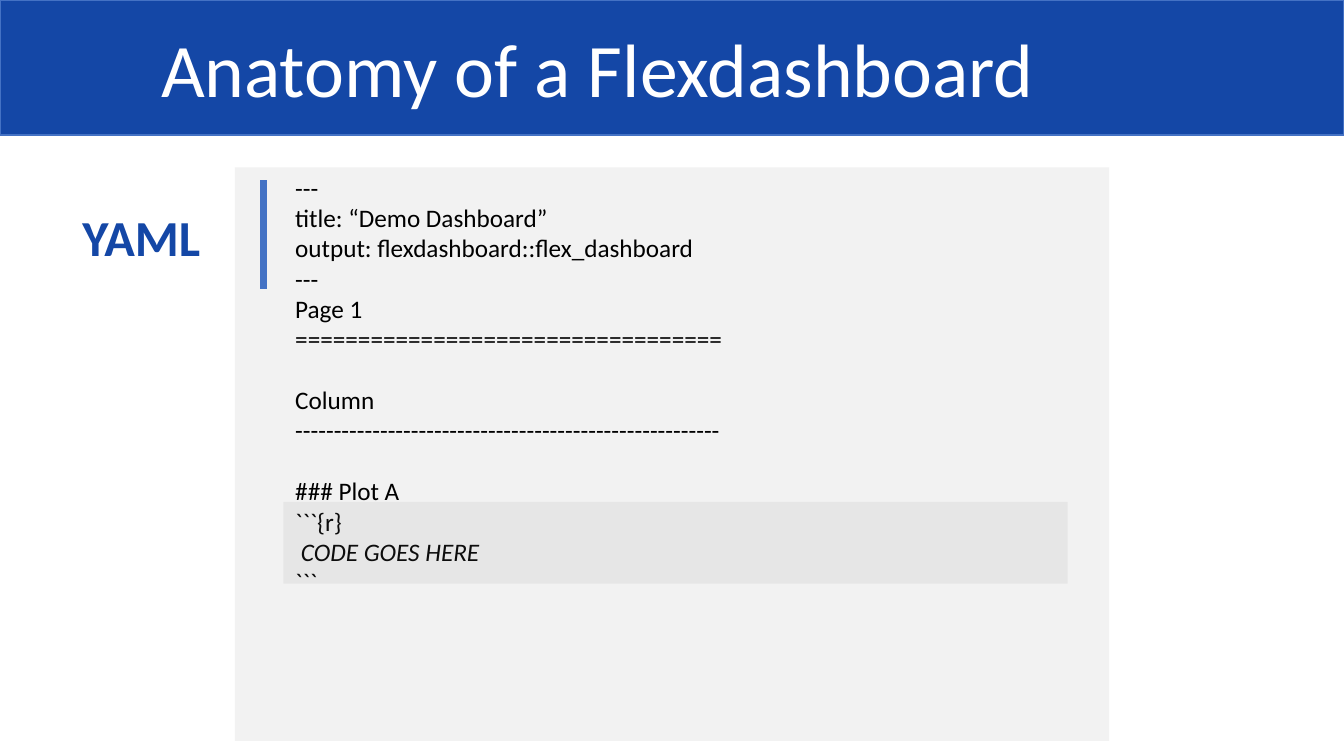
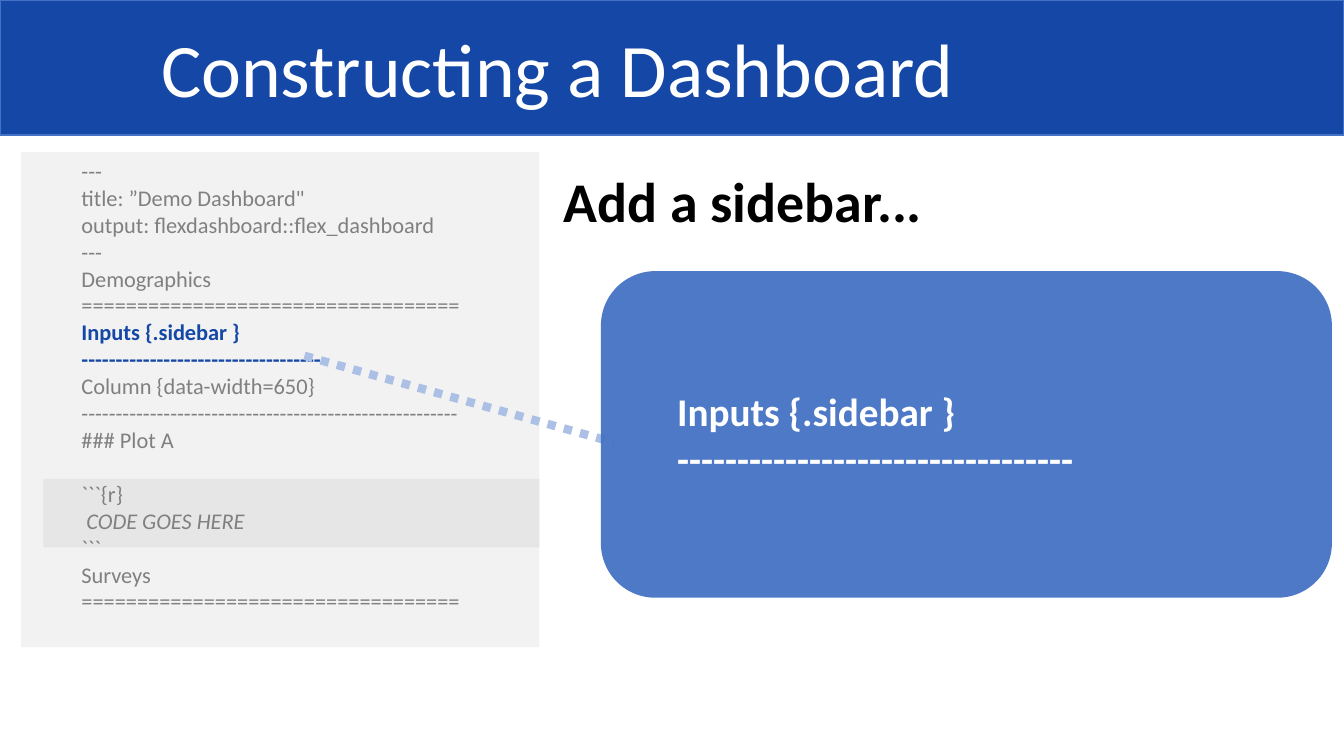
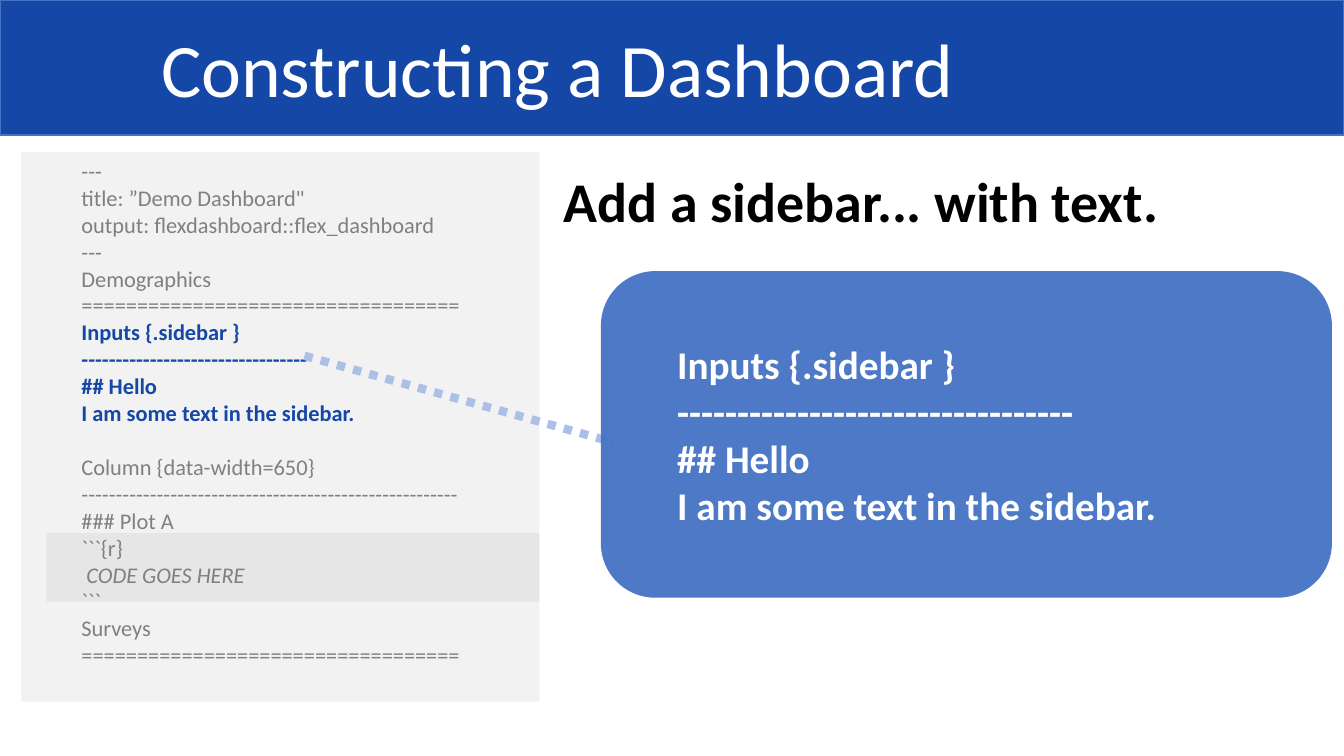
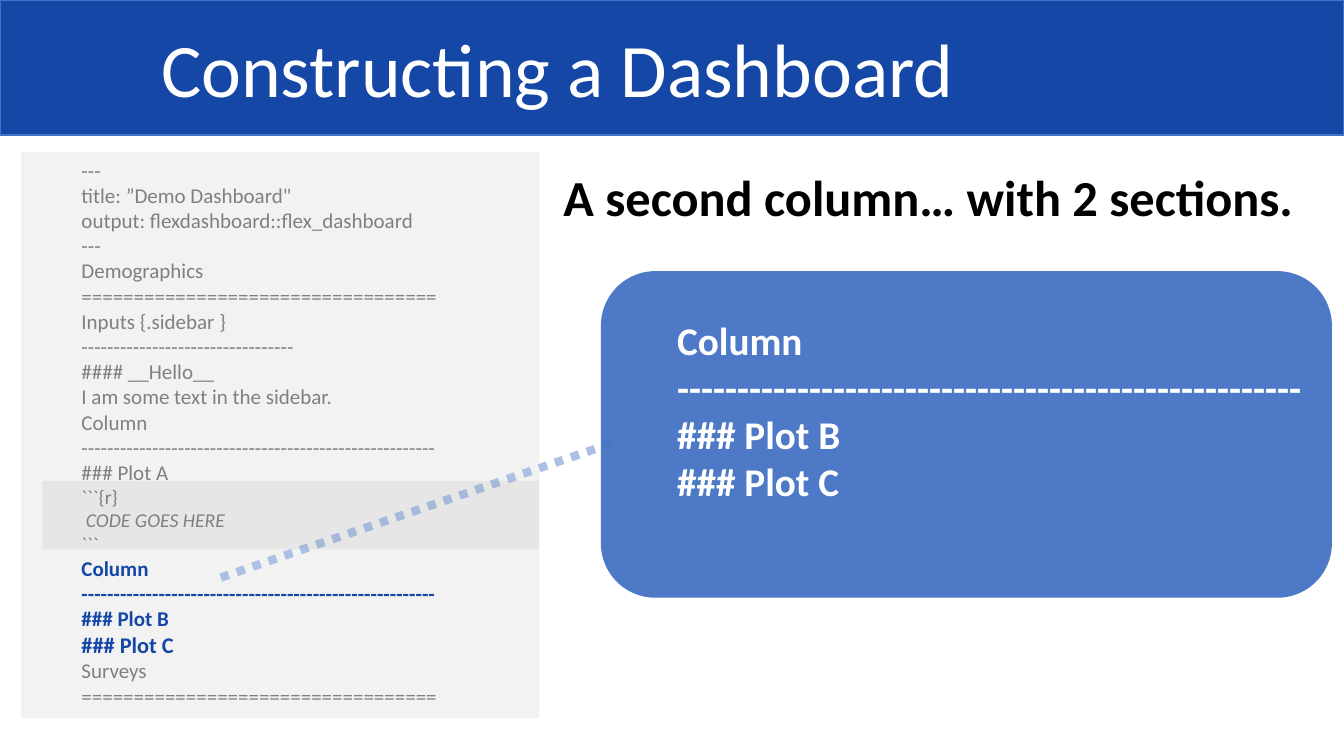
from lxml import etree
from pptx import Presentation
from pptx.dml.color import RGBColor
from pptx.enum.dml import MSO_LINE
from pptx.enum.shapes import MSO_CONNECTOR, MSO_SHAPE
from pptx.enum.text import MSO_ANCHOR, PP_ALIGN
from pptx.oxml.ns import qn
from pptx.util import Pt

RECT, ROUND = MSO_SHAPE.RECTANGLE, MSO_SHAPE.ROUNDED_RECTANGLE
TOP, MID = MSO_ANCHOR.TOP, MSO_ANCHOR.MIDDLE
LEFT = PP_ALIGN.LEFT
STRAIGHT = MSO_CONNECTOR.STRAIGHT
DOTS = MSO_LINE.ROUND_DOT

FONT = "Calibri"
NAVY, BLUE, PALE = "1447A6", "4472C4", "ABC0E4"
BLACK, GRAY, LIGHT, WHITE = "000000", "808080", "F2F2F2", "FFFFFF"
WIDE, HIGH, BAND = 1333, 750, 134
LEADING = 1.22
CODE = "CODE GOES HERE"

HEAD = """---
title: ”Demo Dashboard"
output: flexdashboard::flex_dashboard
---
Demographics
=================================="""
CHUNK = """```{r}
 CODE GOES HERE
```"""
TAIL = """Surveys
=================================="""
RULE = "-------------------------------------------------------"
SIDE = """Inputs {.sidebar }
---------------------------------"""
HELLO = SIDE + """
## Hello
I am some text in the sidebar."""
PLOTS = "### Plot B\n### Plot C"

INTRO = f"""---
title: “Demo Dashboard”
output: flexdashboard::flex_dashboard
---
Page 1
==================================

Column
{RULE}

### Plot A
{CHUNK}"""

STEPS = [
    dict(
        head="Add a sidebar...", size=40,
        code=f"""{HEAD}
Inputs {{.sidebar }}
-----------------------------------
Column {{data-width=650}}
{RULE}
### Plot A

{CHUNK}
{TAIL}""",
        tall=491, font=16, hot=range(6, 8), shade=(43, 475, 492, 68),
        start=(302, 353), note=SIDE),
    dict(
        head="Add a sidebar... with text.", size=40,
        code=f"""{HEAD}
{HELLO}

Column {{data-width=650}}
{RULE}
### Plot A
{CHUNK}
{TAIL}""",
        tall=545, font=16, hot=range(6, 10), shade=(46, 529, 489, 68),
        start=(302, 353), note=HELLO),
    dict(
        head="A second column… with 2 sections.", size=36,
        code=f"""{HEAD}
{SIDE}
#### __Hello__
I am some text in the sidebar.
Column
{RULE}
### Plot A
{CHUNK}
Column
{RULE}
{PLOTS}
{TAIL}""",
        tall=562, font=15, hot=range(16, 20), shade=(42, 477, 493, 68),
        start=(219, 573),
        note=f"Column\n----------------------------------------------------\n{PLOTS}",
        sizes={13: 14, 14: 14, 15: 14, 19: 16}, lift=47),
]


def px(num):
    """Turn px into EMU."""
    return num * 9144


def rgb(tone):
    """Turn a hex string into a colour."""
    return RGBColor.from_string(tone)


def block(slide, kind, box, tone, alpha=100, edge=None):
    """Draw a filled shape, clear to a degree if alpha is under 100."""
    shape = slide.shapes.add_shape(kind, *map(px, box))
    shape.shadow.inherit = False
    shape.fill.solid()
    shape.fill.fore_color.rgb = rgb(tone)
    if alpha < 100:
        node = shape.fill._xPr.find(qn("a:solidFill"))[0]
        etree.SubElement(node, qn("a:alpha")).set("val", str(alpha * 1000))
    if edge:
        shape.line.color.rgb = rgb(edge)
        shape.line.width = Pt(1)
    else:
        shape.line.fill.background()
    return shape


def write(shape, text, size, tone, bold=False, indent=0, anchor=TOP,
          hot=(), sizes=None):
    """Fill a shape with lines; an empty line becomes space before the next."""
    frame = shape.text_frame
    frame.word_wrap = True
    frame.vertical_anchor = anchor
    gap, first = 0, True
    for row, line in enumerate(text.split("\n")):
        if not line:
            gap += size * LEADING
            continue
        para = frame.paragraphs[0] if first else frame.add_paragraph()
        first = False
        para.text = line
        para.alignment = LEFT
        para._p.get_or_add_pPr().set("marL", str(px(indent)))
        if gap:
            para.space_before = Pt(round(gap, 2))
            gap = 0
        font = para.runs[0].font
        font.name = FONT
        font.size = Pt((sizes or {}).get(row, size))
        font.bold = bold or row in hot
        font.italic = line.strip() == CODE
        font.color.rgb = rgb(NAVY if row in hot else tone)


def label(slide, box, text, size, tone):
    """Add a bold text box."""
    write(slide.shapes.add_textbox(*map(px, box)), text, size, tone, bold=True)


def link(slide, start, end, tone, width, dash=None):
    """Draw a straight line."""
    line = slide.shapes.add_connector(STRAIGHT, *map(px, start + end))
    line.line.color.rgb = rgb(tone)
    line.line.width = Pt(width)
    if dash:
        line.line.dash_style = dash
    etree.SubElement(line._element.spPr, qn("a:effectLst"))


def page(deck, title):
    """Add a blank slide with the title band."""
    slide = deck.slides.add_slide(deck.slide_layouts[6])
    band = block(slide, RECT, (0, 0, WIDE, BAND), NAVY, edge=BLUE)
    write(band, title, 54, WHITE, indent=150, anchor=MID)
    return slide


def panel(slide, box, code, size, tone, **style):
    """Show a code listing on a light panel."""
    write(block(slide, RECT, box, LIGHT), code, size, tone, indent=50, **style)


def shade(slide, box):
    """Tint the code chunk."""
    block(slide, RECT, box, GRAY, alpha=10)


def callout(slide, box, start, note, lift):
    """Show the new lines in a large bubble tied to the listing."""
    left, top, _, high = box
    link(slide, start, (left + 13, top + high // 2 + 8), PALE, 6, DOTS)
    bubble = block(slide, ROUND, box, BLUE, alpha=95)
    write(bubble, note, 28, WHITE, bold=True, indent=50, anchor=MID)
    bubble.text_frame.margin_bottom = px(5 + lift)


def anatomy(deck):
    """Build the slide on the parts of a file."""
    slide = page(deck, "Anatomy of a Flexdashboard")
    left, top = 233, 166
    panel(slide, (left, top, 867, 569), INTRO, 18, BLACK)
    shade(slide, (left + 48, top + 332, 778, 81))
    link(slide, (left + 28, top + 13), (left + 28, top + 121), BLUE, 5)
    label(slide, (72, 200, 167, 71), "YAML", 36, NAVY)


def step(deck, head, size, code, tall, font, hot, shade_box, start, note,
         sizes=None, lift=0):
    """Build a slide on one step of the work."""
    slide = page(deck, "Constructing a Dashboard")
    panel(slide, (21, 151, 514, tall), code, font, GRAY, hot=hot, sizes=sizes)
    callout(slide, (596, 269, 725, 324), start, note, lift)
    label(slide, (549, 160, 772, 77), head, size, BLACK)
    shade(slide, shade_box)


def main():
    """Build and save the deck."""
    deck = Presentation()
    deck.slide_width, deck.slide_height = px(WIDE), px(HIGH)
    anatomy(deck)
    for data in STEPS:
        rest = dict(data)
        step(deck, shade_box=rest.pop("shade"), **rest)
    deck.save("out.pptx")


if __name__ == "__main__":
    main()
